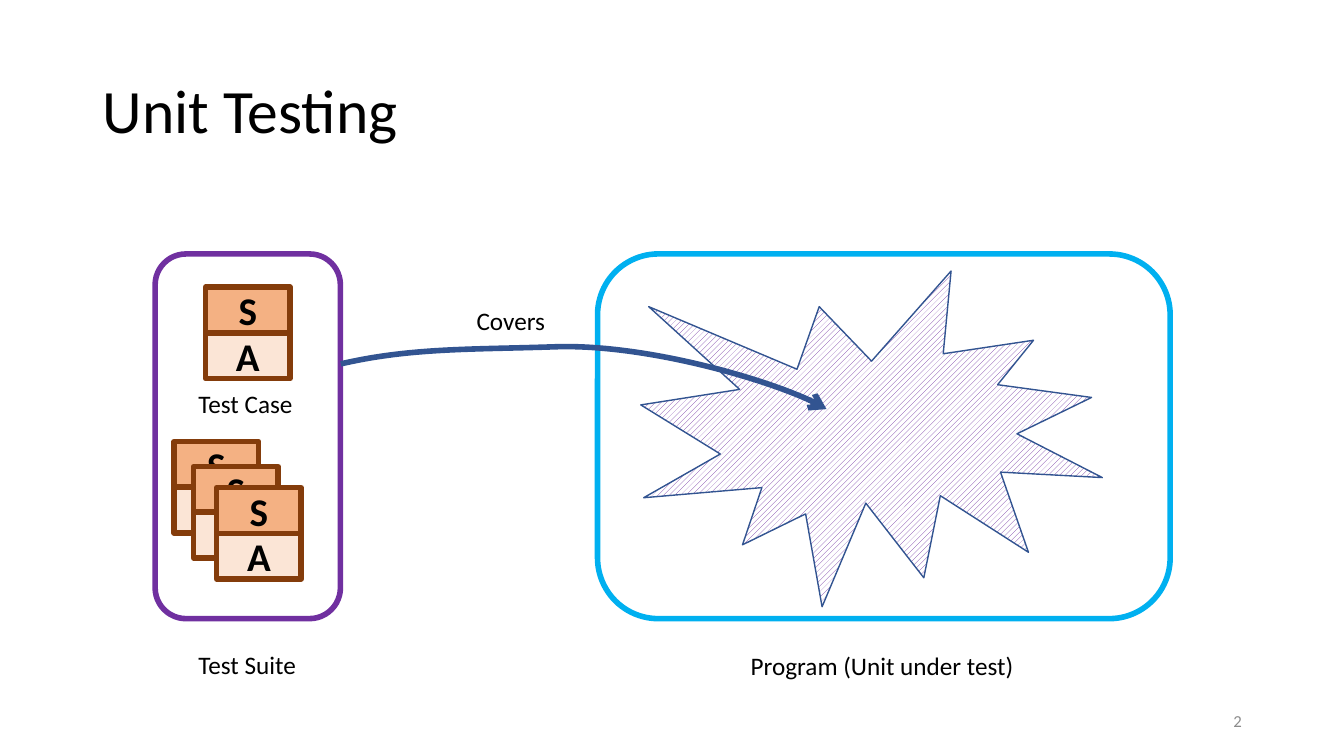
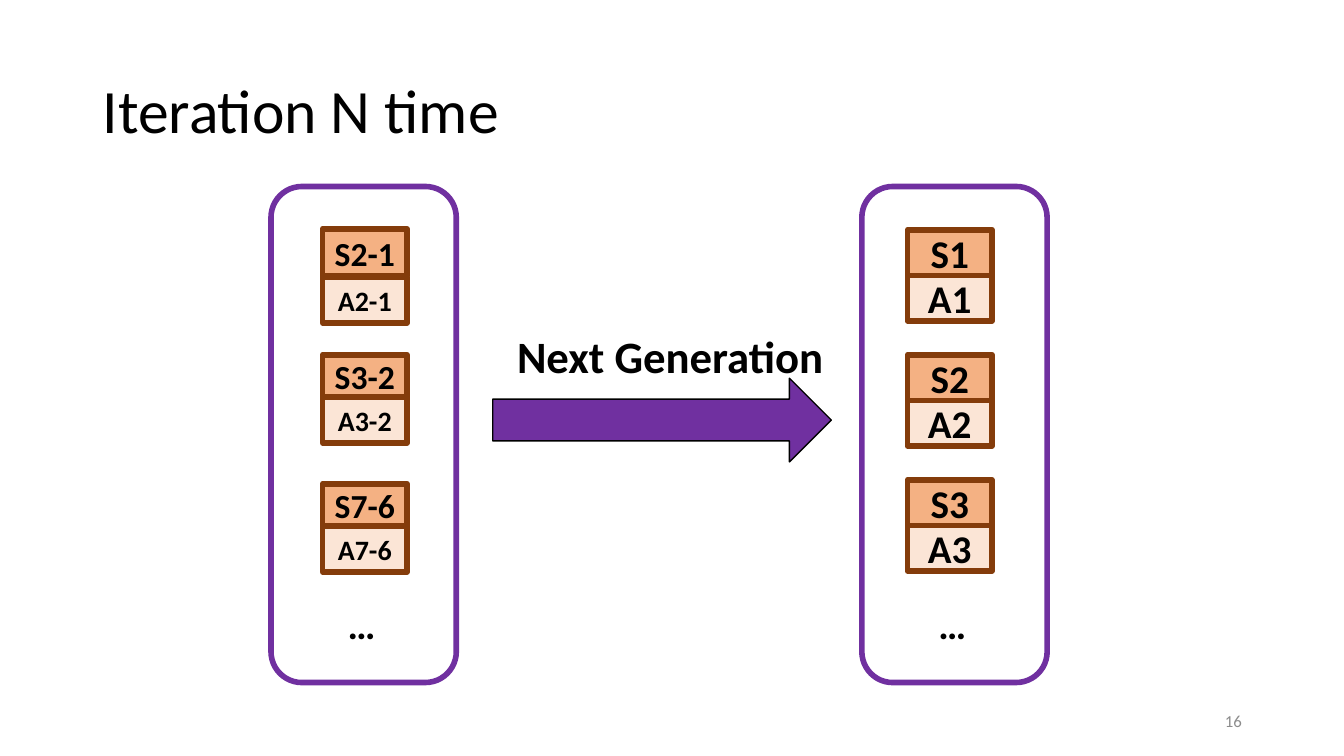
from lxml import etree
from pptx import Presentation
from pptx.dml.color import RGBColor
from pptx.enum.dml import MSO_PATTERN
from pptx.enum.shapes import MSO_SHAPE
from pptx.enum.text import MSO_ANCHOR, PP_ALIGN
from pptx.oxml.ns import qn
from pptx.util import Cm, Pt

BLACK = RGBColor(0x00, 0x00, 0x00)
WHITE = RGBColor(0xFF, 0xFF, 0xFF)
GREY = RGBColor(0x8C, 0x8C, 0x8C)
PURPLE = RGBColor(0x70, 0x30, 0xA0)
CYAN = RGBColor(0x00, 0xB0, 0xF0)
BLUE = RGBColor(0x32, 0x54, 0x91)
BROWN = RGBColor(0x84, 0x3C, 0x0B)
ORANGE = RGBColor(0xF4, 0xB1, 0x83)
PEACH = RGBColor(0xFB, 0xE5, 0xD6)

LEFT, CENTER, RIGHT = PP_ALIGN.LEFT, PP_ALIGN.CENTER, PP_ALIGN.RIGHT
TOP, MIDDLE = MSO_ANCHOR.TOP, MSO_ANCHOR.MIDDLE
ROUNDED = MSO_SHAPE.ROUNDED_RECTANGLE
PROCESS = MSO_SHAPE.FLOWCHART_PROCESS
BURST = MSO_SHAPE.EXPLOSION1
ARROW = MSO_SHAPE.RIGHT_ARROW
HATCH = MSO_PATTERN.WIDE_UPWARD_DIAGONAL

BASE_FONT = {"name": "Calibri", "size": Pt(18), "bold": False}
TITLE_FONT = {"size": Pt(44)}
NUMBER_FONT = {"size": Pt(12)}
HEADING_FONT = {"size": Pt(32), "bold": True}
CELL_FONT = {"size": Pt(28), "bold": True}
CHILD_FONTS = ({"size": Pt(24), "bold": True}, {"size": Pt(20), "bold": True})

FRAME_WIDTH = 4.67
CELL_WIDTH, CELL_HEIGHT = 2.13, 1.15
THICK, THIN = 4, 1


def write(shape, text, font, color=BLACK, align=LEFT, anchor=TOP, wrap=False):
    frame = shape.text_frame
    frame.word_wrap = wrap
    frame.vertical_anchor = anchor
    para = frame.paragraphs[0]
    para.alignment = align
    span = para.add_run()
    span.text = text
    for name, value in {**BASE_FONT, **font}.items():
        setattr(span.font, name, value)
    span.font.color.rgb = color
    return para


def add_text(page, text, box, font=BASE_FONT, **options):
    label = page.shapes.add_textbox(*map(Cm, box))
    return write(label, text, font, **options)


def style(shape, line, weight, fill=None):
    shape.shadow.inherit = False
    shape.line.color.rgb = line
    shape.line.width = Pt(weight)
    if fill is None:
        shape.fill.background()
    else:
        shape.fill.solid()
        shape.fill.fore_color.rgb = fill


def add_box(page, kind, box, line, weight, fill=None):
    shape = page.shapes.add_shape(kind, *map(Cm, box))
    style(shape, line, weight, fill)
    return shape


def add_page(deck, title, number):
    page = deck.slides.add_slide(deck.slide_layouts[6])
    heading = add_text(page, title, (2.34, 1.02, 29.21, 3.68), TITLE_FONT,
                       anchor=MIDDLE, wrap=True)
    heading.line_spacing = 0.9
    add_text(page, str(number), (23.93, 17.65, 7.62, 1.02), NUMBER_FONT,
             color=GREY, align=RIGHT, anchor=MIDDLE, wrap=True)
    return page


def add_test_case(page, left, top, suffix="", height=CELL_HEIGHT,
                  step=CELL_HEIGHT, fonts=(CELL_FONT, CELL_FONT)):
    """Two stacked cells: S above A, whose tops are one step apart."""
    cells = (("S", ORANGE, top, height, fonts[0]),
             ("A", PEACH, top + step, CELL_HEIGHT, fonts[1]))
    for letter, fill, cell_top, cell_height, font in cells:
        cell = add_box(page, PROCESS, (left, cell_top, CELL_WIDTH, cell_height),
                       BROWN, THICK, fill)
        for side in ("left", "right", "top", "bottom"):
            setattr(cell.text_frame, f"margin_{side}", 0)
        write(cell, letter + suffix, font, align=CENTER, anchor=MIDDLE)


def add_curved_arrow(page, points, color, weight):
    """Bezier curve through a start point and groups of three points."""
    start, *controls = [(Cm(x), Cm(y)) for x, y in points]
    builder = page.shapes.build_freeform(*start)
    builder.add_line_segments(controls, close=False)
    curve = builder.convert_to_shape()
    style(curve, color, weight)

    outline = next(curve.element.iter(qn("a:moveTo"))).getparent()
    outline.set("fill", "none")
    segments = outline.findall(qn("a:lnTo"))
    for first in range(0, len(segments), 3):
        bezier = etree.SubElement(outline, qn("a:cubicBezTo"))
        for segment in segments[first:first + 3]:
            bezier.append(segment[0])
            outline.remove(segment)
    line = curve.element.spPr.find(qn("a:ln"))
    etree.SubElement(line, qn("a:tailEnd"), type="arrow")


def add_suite(page, left, top):
    add_box(page, ROUNDED, (left, top, FRAME_WIDTH, 9.19), PURPLE, THICK)
    add_test_case(page, left + 1.27, top + 0.84)
    add_text(page, "Test Case", (left + 0.84, top + 3.25, 2.92, 1.02))
    for across, down in ((0.48, 4.73), (0.97, 5.36), (1.55, 5.89)):
        add_test_case(page, left + across, top + down)
    add_text(page, "Test Suite", (left + 0.84, top + 9.83, 3, 1.02))


def add_program(page, left, top):
    add_box(page, ROUNDED, (left, top, 14.43, 9.19), CYAN, THICK)
    burst = add_box(page, BURST, (left + 1.09, top + 0.43, 11.63, 8.46),
                    BLUE, THIN)
    burst.fill.patterned()
    burst.fill.pattern = HATCH
    burst.fill.fore_color.rgb = PURPLE
    burst.fill.back_color.rgb = WHITE
    add_text(page, "Program (Unit under test)",
             (left + 3.61, top + 9.86, 7.21, 1.02))


def add_generation(page, left, top):
    """Empty frame of one generation, with an ellipsis at its foot."""
    add_box(page, ROUNDED, (left, top, FRAME_WIDTH, 12.5), PURPLE, THICK)
    add_text(page, "…", (left + 1.68, top + 10.31, 1.22, 1.45), CELL_FONT)


def add_children(page, left, top):
    add_generation(page, left, top)
    children = (("2-1", 1.07, 1.19, 1.22),
                ("3-2", 4.24, 1.09, 1.07),
                ("7-6", 7.49, 1.09, 1.07))
    for suffix, down, height, step in children:
        add_test_case(page, left + 1.3, top + down, suffix, height, step,
                      CHILD_FONTS)


def add_numbered_cases(page, left, top):
    add_generation(page, left, top)
    for index in range(3):
        add_test_case(page, left + 1.15, top + 1.09 + 3.15 * index,
                      str(index + 1))


def build_unit_testing(deck):
    page = add_page(deck, "Unit Testing", 2)
    add_suite(page, 3.91, 6.4)
    add_program(page, 15.06, 6.4)
    add_curved_arrow(page, ((8.59, 9.17),
                            (10.36, 8.76), (11.91, 8.81), (13.97, 8.74),
                            (16.15, 8.66), (19.91, 9.7), (20.83, 10.31)),
                     BLUE, THICK)
    add_text(page, "Covers", (11.76, 7.57, 2.26, 1.02))


def build_iteration(deck):
    page = add_page(deck, "Iteration N time", 16)
    add_children(page, 6.83, 4.7)
    add_numbered_cases(page, 21.72, 4.7)
    add_box(page, ARROW, (12.42, 9.53, 8.53, 2.11), BLACK, THIN, PURPLE)
    add_text(page, "Next Generation", (12.78, 8.15, 8.33, 1.63), HEADING_FONT)


def main():
    deck = Presentation()
    deck.slide_width, deck.slide_height = Cm(33.87), Cm(19.05)
    build_unit_testing(deck)
    build_iteration(deck)
    deck.save("out.pptx")


if __name__ == "__main__":
    main()
